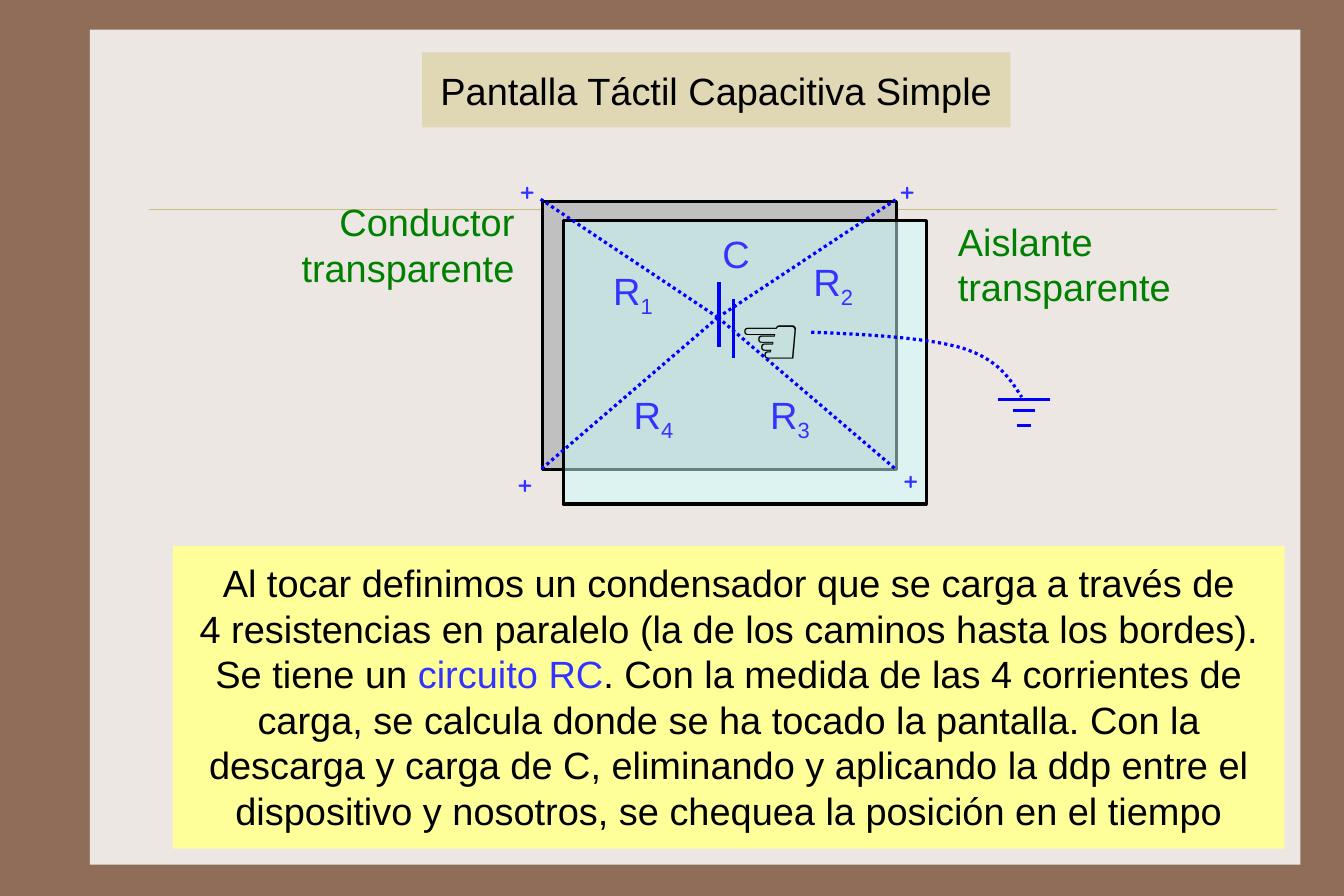
import dataclasses
import itertools

import pptx
import pptx.dml.color
import pptx.enum.dml
import pptx.enum.shapes
import pptx.enum.text
import pptx.oxml
import pptx.oxml.ns
import pptx.util

Inches = pptx.util.Inches
ALIGN = pptx.enum.text.PP_ALIGN
ANCHOR = pptx.enum.text.MSO_ANCHOR
DOTTED = pptx.enum.dml.MSO_LINE.ROUND_DOT


@dataclasses.dataclass(frozen=True)
class Theme:
    """Colours, fonts and sizes of the slide."""
    frame: str = "906D58"
    panel: str = "EDE7E3"
    rule: str = "CBBD83"
    title: str = "E0D7B5"
    note: str = "FFFF99"
    conductor: str = "C0C0C0"
    insulator: str = "CCFFFF"
    wire: str = "0000FF"
    symbol: str = "3333FF"
    label: str = "008000"
    ink: str = "000000"
    font: str = "Arial"
    plus_font: str = "Comic Neue"
    text_size: float = 24
    hand_size: float = 45.3
    line_width: float = 2
    rule_width: float = 0.25


@dataclasses.dataclass(frozen=True)
class Box:
    """A rectangle in inches."""
    left: float
    top: float
    width: float
    height: float

    def inner(self, left, top, width, height):
        """Return a box placed relative to this one."""
        return Box(self.left + left, self.top + top, width, height)

    def point(self, x, y):
        """Return the lengths of a point relative to this box."""
        return Inches(self.left + x), Inches(self.top + y)

    def lengths(self):
        """Return left, top, width and height as lengths."""
        return [Inches(value) for value in dataclasses.astuple(self)]


THEME = Theme()


def rgb(colour):
    """Turn a hexadecimal string into a colour."""
    return pptx.dml.color.RGBColor.from_string(colour)


def apply(target, values):
    """Set every attribute named in a dict of format values."""
    for name, value in values.items():
        setattr(target, name, value)


def style_line(line, colour, width=THEME.line_width, dash=None):
    """Colour a line and set its width and dash."""
    line.color.rgb = rgb(colour)
    apply(line, {"width": pptx.util.Pt(width), "dash_style": dash})


def add_rectangle(slide, box, fill, outline=None):
    """Add a flat rectangle, with an outline if one is named."""
    shape = slide.shapes.add_shape(pptx.enum.shapes.MSO_SHAPE.RECTANGLE, *box.lengths())
    shape.shadow.inherit = False
    shape.fill.solid()
    shape.fill.fore_color.rgb = rgb(fill)
    if outline:
        style_line(shape.line, outline)
    else:
        shape.line.fill.background()
    return shape


def add_line(slide, start, end, colour=THEME.wire, width=THEME.line_width, dash=None):
    """Add a straight line without a shadow."""
    connector = slide.shapes.add_connector(
        pptx.enum.shapes.MSO_CONNECTOR.STRAIGHT, *start, *end)
    style_line(connector.line, colour, width, dash)
    connector.element.spPr.append(pptx.oxml.parse_xml(
        f"<a:effectLst {pptx.oxml.ns.nsdecls('a')}/>"))


def add_run(paragraph, text, colour, size=THEME.text_size, font=THEME.font):
    """Add a formatted run to a paragraph."""
    run = paragraph.add_run()
    run.text = text
    apply(run.font, {"size": pptx.util.Pt(size), "name": font})
    run.font.color.rgb = rgb(colour)
    return run


def write(shape, runs, margins=(0.09, 0.09), align=ALIGN.LEFT, anchor=ANCHOR.TOP,
          wrap=True, size=THEME.text_size, font=THEME.font):
    """Fill a shape with one paragraph of (text, colour) runs."""
    frame = shape.text_frame
    side, edge = map(Inches, margins)
    apply(frame, {"margin_left": side, "margin_right": side, "margin_top": edge,
                  "margin_bottom": edge, "word_wrap": wrap, "vertical_anchor": anchor,
                  "auto_size": pptx.enum.text.MSO_AUTO_SIZE.NONE})
    paragraph = frame.paragraphs[0]
    paragraph.alignment = align
    for text, colour in runs:
        for index, part in enumerate(text.split("\n")):
            if index:
                paragraph.add_line_break()
            add_run(paragraph, part, colour, size, font)
    return paragraph


def add_text(slide, box, text, colour, **options):
    """Add a text box and return its paragraph."""
    return write(slide.shapes.add_textbox(*box.lengths()), [(text, colour)], **options)


def add_panel(slide, box):
    """Draw the frame colour, the light panel and its thin rule."""
    slide.background.fill.solid()
    slide.background.fill.fore_color.rgb = rgb(THEME.frame)
    add_rectangle(slide, box, THEME.panel)
    add_line(slide, box.point(0.52, 1.58), box.point(10.43, 1.58),
             THEME.rule, THEME.rule_width)


def add_title(slide, box):
    """Place the title in front of the panel."""
    title = slide.shapes.title
    title.element.getparent().append(title.element)
    apply(title, dict(zip(("left", "top", "width", "height"), box.lengths())))
    title.fill.solid()
    title.fill.fore_color.rgb = rgb(THEME.title)
    write(title, [("Pantalla Táctil Capacitiva Simple", THEME.ink)], (0.09, 0.13),
          ALIGN.CENTER, ANCHOR.MIDDLE)


def add_screen(slide, box):
    """Draw the two layers, the resistances and the charged corners."""
    add_rectangle(slide, box, THEME.conductor, THEME.ink)
    insulator = add_rectangle(slide, box.inner(0.18, 0.17, 3.19, 2.49),
                              THEME.insulator, THEME.ink)
    colour = insulator.element.spPr.find(".//" + pptx.oxml.ns.qn("a:srgbClr"))
    colour.append(colour.makeelement(pptx.oxml.ns.qn("a:alpha"), {"val": "50000"}))

    for corner in itertools.product((-0.02, box.width), (-0.02, box.height)):
        add_line(slide, box.point(1.54, 1.02), box.point(*corner), dash=DOTTED)
    resistances = [(0.53, 0.49), (2.29, 0.41), (1.91, 1.58), (0.71, 1.58)]
    for number, place in enumerate(resistances, 1):
        paragraph = add_text(slide, box.inner(*place, 0.56, 0.58), "R", THEME.symbol,
                             wrap=False)
        subscript = add_run(paragraph, str(number), THEME.symbol)
        subscript.font._element.set("baseline", "-25000")
    for place in [(-0.3, -0.37), (3.04, -0.37), (-0.32, 2.2), (3.07, 2.17)]:
        add_text(slide, box.inner(*place, 0.35, 0.5), "+", THEME.symbol,
                 margins=(0.09, 0.05), font=THEME.plus_font)


def add_capacitor(slide, box):
    """Draw the capacitor plates under their letter."""
    for x, top, bottom in [(0.06, 0.54, 1.11), (0.19, 0.69, 1.21)]:
        add_line(slide, box.point(x, top), box.point(x, bottom))
    add_text(slide, box, "C", THEME.symbol, wrap=False)


def bezier(points, steps=16):
    """Return points along a cubic curve, after its start."""
    for step in range(1, steps + 1):
        t = step / steps
        weights = ((1 - t) ** 3, 3 * t * (1 - t) ** 2, 3 * t * t * (1 - t), t ** 3)
        yield tuple(sum(w * p for w, p in zip(weights, axis)) for axis in zip(*points))


def add_hand(slide, box):
    """Draw the touching hand and its path to ground."""
    add_text(slide, box, "☜", THEME.ink, wrap=False, size=THEME.hand_size)
    curve = [(0.73, 0.42), (1.24, 0.44), (1.75, 0.47), (2.06, 0.56),
             (2.37, 0.66), (2.47, 0.82), (2.58, 0.99)]
    builder = slide.shapes.build_freeform(*box.point(*curve[0]))
    points = itertools.chain(bezier(curve[:4]), bezier(curve[3:]))
    builder.add_line_segments([box.point(*point) for point in points], close=False)
    wire = builder.convert_to_shape()
    wire.shadow.inherit = False
    wire.fill.background()
    style_line(wire.line, THEME.wire, dash=DOTTED)
    for y, width in [(1.01, 0.46), (1.11, 0.2), (1.24, 0.13)]:
        add_line(slide, box.point(2.6 - width / 2, y), box.point(2.6 + width / 2, y))


def add_note(slide, box):
    """Add the yellow explanation."""
    write(add_rectangle(slide, box, THEME.note), [
        ("Al tocar definimos un condensador que se carga a través de\n4 resistencias en "
         "paralelo (la de los caminos hasta los bordes). Se tiene un ", THEME.ink),
        ("circuito RC", THEME.symbol),
        (". Con la medida de las 4 corrientes de carga, se calcula donde se ha tocado la "
         "pantalla. Con la descarga y carga de C, eliminando y aplicando la ddp entre el "
         "dispositivo y nosotros, se chequea la posición en el tiempo", THEME.ink),
    ], (0.12, 0.12), ALIGN.CENTER)


def add_labels(slide, box):
    """Name the two layers at the sides of the screen."""
    for place, text, align in [
            ((3.55, 0.1, 2.12, 0.91), "Aislante transparente", ALIGN.LEFT),
            ((-2.3, -0.07, 2.15, 0.91), "Conductor transparente", ALIGN.RIGHT)]:
        add_text(slide, box.inner(*place), text, THEME.label, margins=(0.1, 0.05),
                 align=align)


def main():
    """Build the slide and save it."""
    presentation = pptx.Presentation()
    apply(presentation, {"slide_width": Inches(189 / 16), "slide_height": Inches(63 / 8)})
    slide = presentation.slides.add_slide(presentation.slide_layouts[5])
    screen = Box(4.77, 1.77, 3.11, 2.36)
    add_panel(slide, Box(0.79, 0.26, 10.64, 7.34))
    add_title(slide, Box(3.71, 0.46, 5.17, 0.66))
    add_screen(slide, screen)
    add_capacitor(slide, Box(6.26, 1.94, 0.43, 0.58))
    add_hand(slide, Box(6.4, 2.5, 0.79, 0.94))
    add_note(slide, Box(1.52, 4.8, 9.77, 2.66))
    add_labels(slide, screen)
    presentation.save("out.pptx")


if __name__ == "__main__":
    main()
